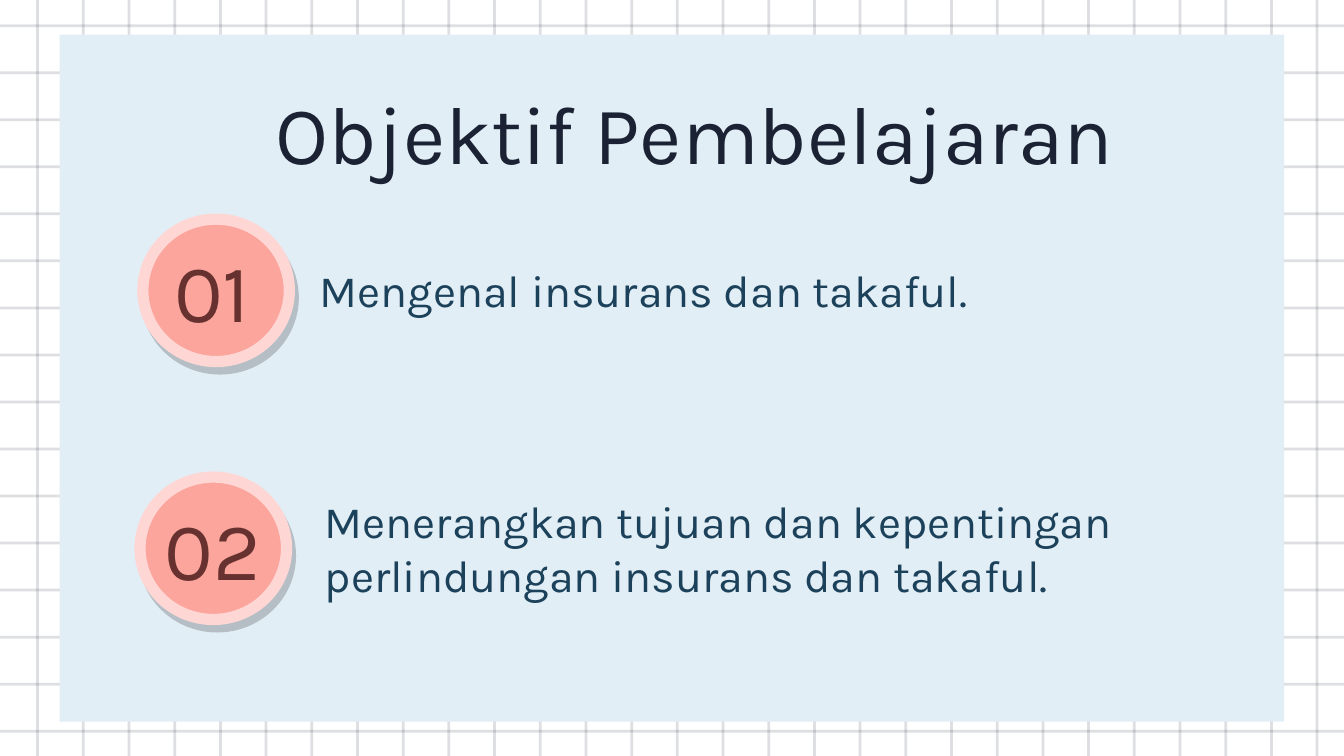
from dataclasses import dataclass

from lxml.etree import SubElement
from pptx import Presentation
from pptx.dml.color import RGBColor
from pptx.enum.shapes import MSO_SHAPE
from pptx.enum.text import MSO_ANCHOR, MSO_AUTO_SIZE, PP_ALIGN
from pptx.oxml.ns import qn
from pptx.util import Pt


@dataclass(frozen=True)
class Theme:
    font: str = "Karla"
    paper: str = "FFFFFF"
    ink: str = "1A2233"
    panel: str = "E2EEF6"
    badge: str = "FBA59D"
    ring: str = "FED7D5"
    number: str = "66312E"
    body: str = "1C415A"
    shadow: str = "000000"
    heading_size: int = 44
    body_size: int = 24


THEME = Theme()


def add_alpha(colour, percent):
    SubElement(colour, qn("a:alpha"), val=str(percent * 1000))


def add_figure(slide, preset, left, top, width, height, fill, alpha=None):
    figure = slide.shapes.add_shape(preset, Pt(left), Pt(top), Pt(width), Pt(height))
    figure.shadow.inherit = False
    figure.fill.solid()
    figure.fill.fore_color.rgb = RGBColor.from_string(fill)
    figure.line.fill.background()
    if alpha is not None:
        add_alpha(figure._element.spPr.find(qn("a:solidFill"))[0], alpha)
    return figure


def write_text(holder, text, *, size, color, align=PP_ALIGN.LEFT,
               anchor=MSO_ANCHOR.MIDDLE, inset=7.2):
    frame = holder.text_frame
    frame.word_wrap = True
    frame.auto_size = MSO_AUTO_SIZE.NONE
    frame.vertical_anchor = anchor
    frame.margin_left = frame.margin_right = Pt(inset)
    frame.margin_top = frame.margin_bottom = Pt(inset)
    paragraph = frame.paragraphs[0]
    paragraph.alignment = align
    run = paragraph.add_run()
    run.text = text
    run.font.name = THEME.font
    run.font.size = Pt(size)
    run.font.color.rgb = RGBColor.from_string(color)


def add_label(slide, text, left, top, width, height, **style):
    label = slide.shapes.add_textbox(Pt(left), Pt(top), Pt(width), Pt(height))
    write_text(label, text, **style)


def build_grid(slide, left, top, width, height):
    """Squared paper; the rules run past the slide edges."""
    stroke = 1.5
    for row in range(16):
        add_figure(slide, MSO_SHAPE.RECTANGLE, left, top + 24.5 + row * 25.2,
                   width, stroke, THEME.ink, alpha=14)
    for column in range(29):
        add_figure(slide, MSO_SHAPE.RECTANGLE, left + 25.2 + column * 24.48, top,
                   stroke, height, THEME.ink, alpha=14)


def build_heading(slide, text, left, top, width, height):
    title = slide.shapes.title
    title.left, title.top = Pt(left), Pt(top)
    title.width, title.height = Pt(width), Pt(height)
    write_text(title, text, size=THEME.heading_size, color=THEME.ink,
               align=PP_ALIGN.CENTER, anchor=MSO_ANCHOR.BOTTOM)
    # Bring the title in front of the panel
    slide.shapes._spTree.append(title._element)


def build_objective(slide, number, text, left, top, width, height,
                    number_shift, text_shift):
    """Numbered badge with its objective, all centred on one line."""
    middle = top + height / 2

    # Badge
    badge = add_figure(slide, MSO_SHAPE.OVAL, left, top, 78.5, height, THEME.badge)
    badge.line.color.rgb = RGBColor.from_string(THEME.ring)
    badge.line.width = Pt(6)
    effects = badge._element.spPr.find(qn("a:effectLst"))
    shadow = SubElement(effects, qn("a:outerShdw"), blurRad="0",
                        dist=str(Pt(4.5)), dir=str(62 * 60000),
                        algn="bl", rotWithShape="0")
    add_alpha(SubElement(shadow, qn("a:srgbClr"), val=THEME.shadow), 20)

    # Number
    add_label(slide, number, left + number_shift, middle - 19.4, 74.2, 38.2,
              size=THEME.heading_size, color=THEME.number,
              align=PP_ALIGN.CENTER, inset=9.36)

    # Objective
    add_label(slide, text, left + text_shift, middle - 35.4,
              width - text_shift, 70,
              size=THEME.body_size, color=THEME.body)


def main():
    deck = Presentation()
    deck.slide_width, deck.slide_height = Pt(720), Pt(405)
    slide = deck.slides.add_slide(deck.slide_layouts[0])
    subtitle = slide.placeholders[1]._element
    subtitle.getparent().remove(subtitle)
    slide.background.fill.solid()
    slide.background.fill.fore_color.rgb = RGBColor.from_string(THEME.paper)

    build_grid(slide, -5.8, -11.5, 731.5, 421.2)
    add_figure(slide, MSO_SHAPE.RECTANGLE, 32, 18.6, 656, 368, THEME.panel)
    build_heading(slide, "Objektif Pembelajaran", 136, 32.4, 473, 72)
    build_objective(slide, "01", "Mengenal insurans dan takaful.",
                    76.5, 117.4, 542, 76.3, number_shift=0, text_shift=87.8)
    build_objective(slide, "02",
                    "Menerangkan tujuan dan kepentingan perlindungan insurans dan takaful.",
                    75, 255.6, 589, 76.3, number_shift=2, text_shift=92)
    deck.save("out.pptx")


if __name__ == "__main__":
    main()
